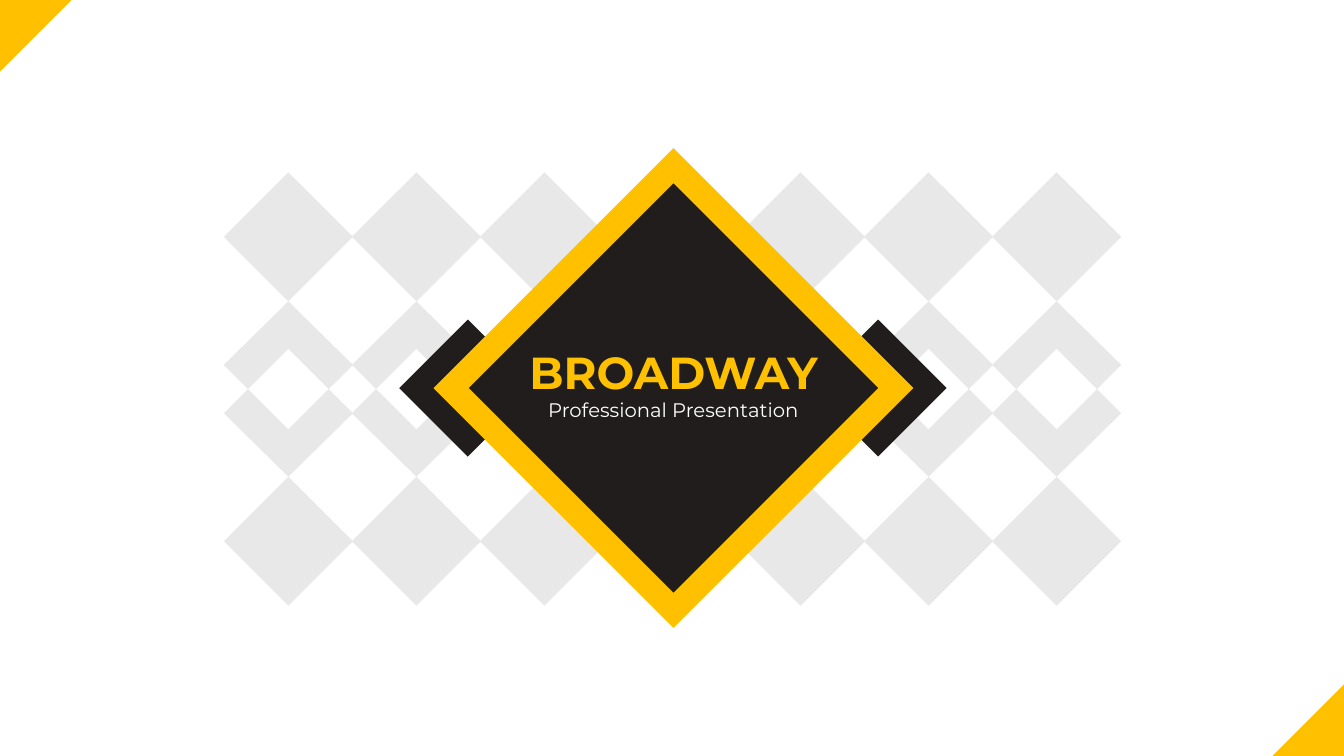
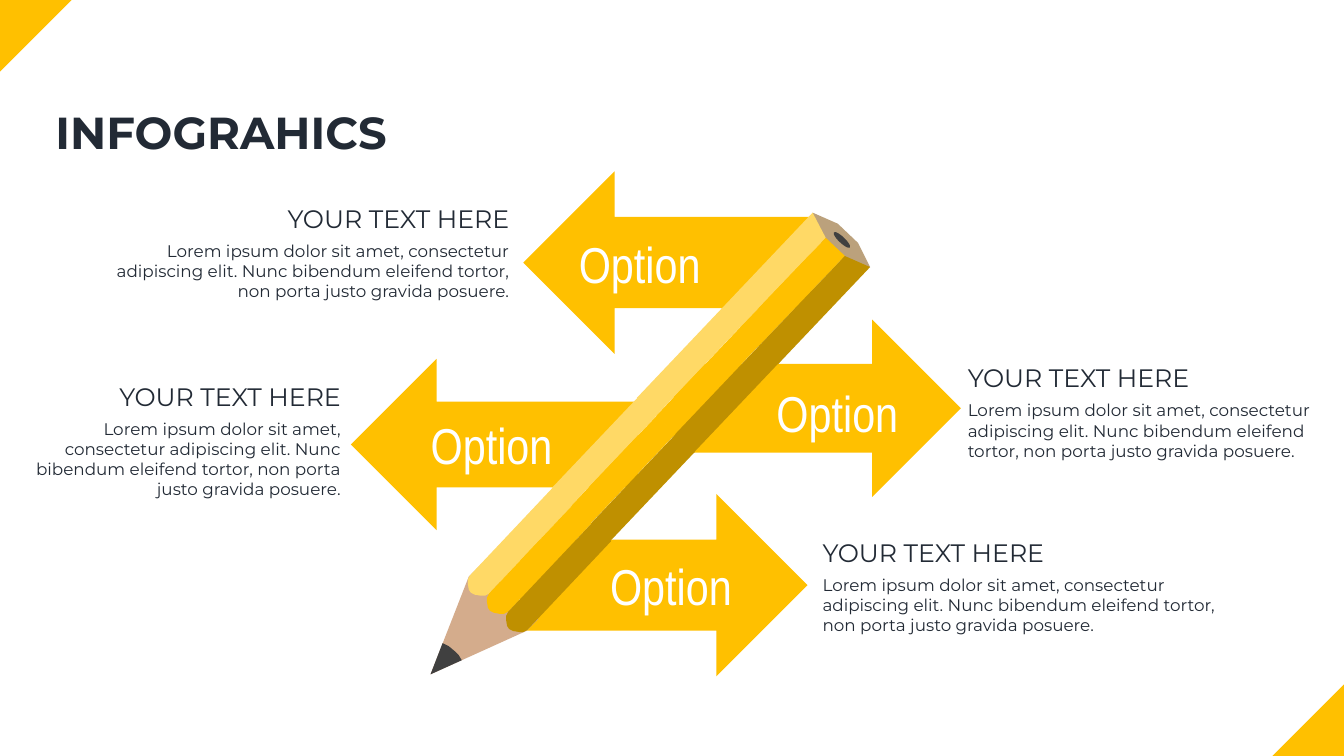
from collections import namedtuple

from pptx import Presentation
from pptx.dml.color import RGBColor
from pptx.enum.shapes import MSO_SHAPE as Preset
from pptx.enum.text import MSO_ANCHOR as Anchor, MSO_AUTO_SIZE as AutoSize, PP_ALIGN as Align
from pptx.util import Inches, Pt

# Shared style
WIDTH, HEIGHT = 13.33, 7.5
TITLE_ONLY = 5
YELLOW, LIGHT_YELLOW, DARK_YELLOW = "FFC000", "FFD966", "BF9000"
BLACK, INK, WHITE, PALE_GREY = "211D1D", "222A35", "FFFFFF", "E7E8E7"
LEAD, WOOD, CUT_WOOD = "404040", "D4AC8C", "BBA17C"
FONT, LABEL_FONT = "Montserrat", "Arial Narrow"
CORNER = 0.71

# Cover: a lattice of diamonds, mirrored about the middle line
MIDDLE_X, MIDDLE_Y = 6.68, 3.85
LATTICE_LEFT, LATTICE_STEP, LATTICE_COLUMNS = 2.86, 1.27, (0, 1, 2, 4, 5, 6)
LATTICE_MIDDLE, DIAMOND_RADIUS, NOTCH_RADIUS = 3.86, 0.64, 0.4

# Infographic: the options and the pencil
LOREM = ("Lorem ipsum dolor sit amet, consectetur adipiscing elit. Nunc bibendum "
         "eleifend tortor, non porta justo gravida posuere.")
Option = namedtuple("Option", "arrow arrow_box label_at text_at text_width align")
OPTIONS = [
    Option(Preset.LEFT_ARROW, (5.19, 1.7, 2.85, 1.81), (5.56, 2.26), (1.04, 1.97), 4.11, Align.RIGHT),
    Option(Preset.RIGHT_ARROW, (6.68, 3.17, 2.85, 1.76), (7.52, 3.74), (9.5, 3.55), 3.75, Align.LEFT),
    Option(Preset.LEFT_ARROW, (3.48, 3.56, 2.85, 1.7), (4.09, 4.06), (0.08, 3.73), 3.4, Align.RIGHT),
    Option(Preset.RIGHT_ARROW, (5.16, 4.9, 2.85, 1.81), (5.87, 5.46), (8.06, 5.28), 4.11, Align.LEFT),
]
PENCIL_ANGLE = 313.5
STRIP_SHIFT = (0.19, 0.18)
SECTION_SHIFT = (0.84, -0.89)
STRIP_COLORS = (LIGHT_YELLOW, YELLOW, DARK_YELLOW)
STRIP_FOOT = [(5.49, 4.83), (4.66, 5.71), (4.64, 5.75), (4.64, 5.79), (4.65, 5.85), (4.67, 5.88),
              (4.71, 5.9), (4.77, 5.91), (4.81, 5.91), (4.85, 5.89), (5.68, 5.01)]
STRIP_ENDS = [
    [(8.19, 2.36), (8.06, 2.11), (7.15, 3.07), (7.34, 3.25)],
    [(8.19, 2.36), (8.38, 2.54), (7.53, 3.43), (7.34, 3.25)],
    [(8.63, 2.65), (8.38, 2.54), (7.53, 3.43), (7.72, 3.61)],
]
PENCIL_END = [(8.09, 2.36), (8.06, 2.11), (8.31, 2.22), (8.51, 2.41), (8.63, 2.65), (8.38, 2.63)]
PENCIL_CONE = [(5.22, 6.26), (4.27, 6.69), (4.65, 5.72), (4.77, 5.6), (5.34, 6.14)]
PENCIL_TIP = [(4.51, 6.46), (4.45, 6.41), (4.39, 6.38), (4.27, 6.69), (4.58, 6.55), (4.55, 6.5)]


def rgb(color):
    return RGBColor.from_string(color)


def paint(shape, color):
    shape.fill.solid()
    shape.fill.fore_color.rgb = rgb(color)
    shape.line.fill.background()
    shape.shadow.inherit = False
    return shape


def add_preset(slide, preset, box, color, rotation=0):
    shape = slide.shapes.add_shape(preset, *map(Inches, box))
    shape.rotation = rotation
    return paint(shape, color)


def add_outline(slide, contours, color):
    """Draw closed contours, each a list of points, as one shape."""
    contours = [[(Inches(x), Inches(y)) for x, y in contour] for contour in contours]
    builder = slide.shapes.build_freeform(*contours[0][0])
    for number, contour in enumerate(contours):
        if number:
            builder.move_to(*contour[0])
        builder.add_line_segments(contour[1:], close=True)
    return paint(builder.convert_to_shape(), color)


def write(frame, text, size, color, align=Align.LEFT, font=FONT, bold=False):
    frame.text = text
    frame.word_wrap = True
    frame.auto_size = AutoSize.NONE
    frame.vertical_anchor = Anchor.TOP
    paragraph = frame.paragraphs[0]
    paragraph.alignment = align
    style = paragraph.runs[0].font
    style.name, style.size, style.bold = font, Pt(size), bold
    style.color.rgb = rgb(color)


def add_text(slide, box, text, size, color, **style):
    write(slide.shapes.add_textbox(*map(Inches, box)).text_frame, text, size, color, **style)


def place_title(slide, box, text, color, align=Align.LEFT):
    title = slide.shapes.title
    title.left, title.top, title.width, title.height = map(Inches, box)
    write(title.text_frame, text, 32, color, align, bold=True)
    # The title lies in front of the drawing
    slide.shapes._spTree.append(title._element)


def add_corners(layout, slide):
    """Put the two corner triangles on the layout that all slides use."""
    for left, top, rotation in ((0, 0, 90), (WIDTH - CORNER, HEIGHT - CORNER, 270)):
        corner = add_preset(slide, Preset.RIGHT_TRIANGLE, (left, top, CORNER, CORNER), YELLOW, rotation)
        layout.shapes._spTree.append(corner._element)


def add_centred_diamond(slide, x, radius, color):
    box = (x - radius, MIDDLE_Y - radius, 2 * radius, 2 * radius)
    add_preset(slide, Preset.DIAMOND, box, color)


def add_lattice_column(slide, x, side):
    """Draw a diamond and a notched diamond; side is -1 above the middle, 1 below."""
    r, notch = DIAMOND_RADIUS, NOTCH_RADIUS
    diamond = [(0, 2.15), (r, 2.15 - r), (0, 2.15 - 2 * r), (-r, 2.15 - r)]
    chevron = [(0, 0.87), (r, 0.24), (notch, 0), (0, notch), (-notch, 0), (-r, 0.24)]
    contours = [[(x + dx, LATTICE_MIDDLE + side * dy) for dx, dy in contour]
                for contour in (diamond, chevron)]
    add_outline(slide, contours, PALE_GREY)


def add_pencil(slide):
    # Body: two sections of three parallel strips
    for section in range(2):
        for strip, color in enumerate(STRIP_COLORS):
            left, top = (start + strip * across + section * along for start, across, along
                         in zip((5.38, 4.35), STRIP_SHIFT, SECTION_SHIFT))
            add_preset(slide, Preset.RECTANGLE, (left, top, 1.23, 0.26), color, PENCIL_ANGLE)
    # Blunt end
    add_outline(slide, [PENCIL_END], CUT_WOOD)
    for strip_end, color in zip(STRIP_ENDS, STRIP_COLORS):
        add_outline(slide, [strip_end], color)
    add_preset(slide, Preset.OVAL, (8.32, 2.27, 0.06, 0.22), LEAD, PENCIL_ANGLE)
    # Sharpened end
    add_outline(slide, [PENCIL_CONE], WOOD)
    for strip, color in enumerate(STRIP_COLORS):
        foot = [(x + strip * STRIP_SHIFT[0], y + strip * STRIP_SHIFT[1]) for x, y in STRIP_FOOT]
        add_outline(slide, [foot], color)
    add_outline(slide, [PENCIL_TIP], LEAD)


def add_option_text(slide, option):
    left, top = option.text_at
    width, align = option.text_width, option.align
    add_text(slide, (left, top, width, 0.4), "YOUR TEXT HERE", 18, INK, align=align)
    add_text(slide, (left, top + 0.37, width, 0.71), LOREM, 12, INK, align=align)
    add_text(slide, (*option.label_at, 1.57, 0.71), "Option", 36, WHITE,
             align=Align.CENTER, font=LABEL_FONT)


def build_cover(slide):
    for side in (-1, 1):
        for column in LATTICE_COLUMNS:
            add_lattice_column(slide, LATTICE_LEFT + column * LATTICE_STEP, side)
    for x, radius, color in ((8.71, 0.68, BLACK), (4.64, 0.68, BLACK),
                             (MIDDLE_X, 2.38, YELLOW), (MIDDLE_X, 2.03, BLACK)):
        add_centred_diamond(slide, x, radius, color)
    place_title(slide, (4.78, 3.37, 3.8, 0.64), "BROADWAY", YELLOW, Align.CENTER)
    add_text(slide, (4.78, 3.9, 3.8, 0.34), "Professional Presentation", 14, WHITE,
             align=Align.CENTER)


def build_infographic(slide):
    for option in OPTIONS:
        add_preset(slide, option.arrow, option.arrow_box, YELLOW)
    add_pencil(slide)
    for option in OPTIONS:
        add_option_text(slide, option)
    place_title(slide, (0.45, 0.99, 6.7, 0.64), "INFOGRAHICS", INK)


def main():
    deck = Presentation()
    deck.slide_width, deck.slide_height = Inches(WIDTH), Inches(HEIGHT)
    layout = deck.slide_layouts[TITLE_ONLY]
    cover, infographic = (deck.slides.add_slide(layout) for _ in range(2))
    add_corners(layout, cover)
    build_cover(cover)
    build_infographic(infographic)
    deck.save("out.pptx")


main()
